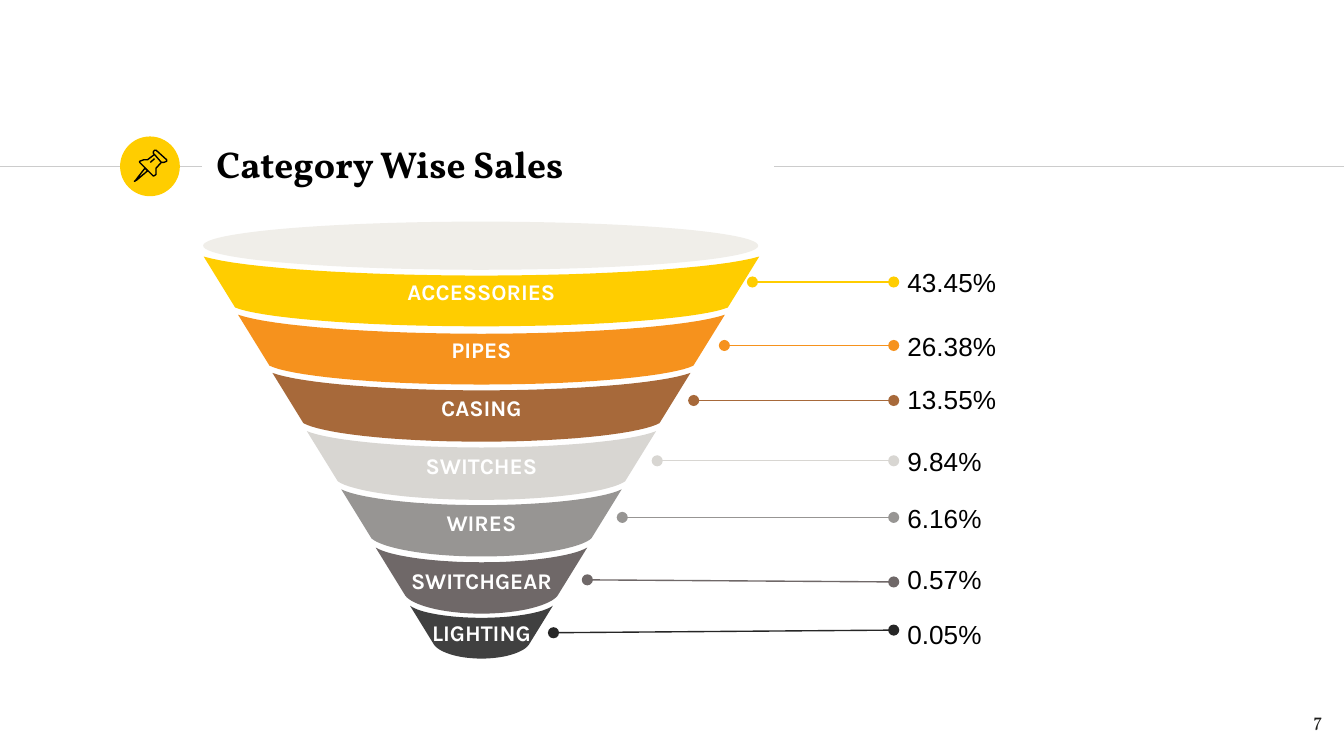
from dataclasses import dataclass

from lxml import etree
from pptx import Presentation
from pptx.dml.color import RGBColor
from pptx.enum.shapes import MSO_CONNECTOR, MSO_SHAPE
from pptx.enum.text import MSO_ANCHOR, PP_ALIGN
from pptx.oxml.ns import qn
from pptx.util import Cm, Pt

STRAIGHT = MSO_CONNECTOR.STRAIGHT
OVAL = MSO_SHAPE.OVAL
MIDDLE, TOP = MSO_ANCHOR.MIDDLE, MSO_ANCHOR.TOP
LEFT, CENTER, RIGHT = PP_ALIGN.LEFT, PP_ALIGN.CENTER, PP_ALIGN.RIGHT

BLACK = RGBColor(0x00, 0x00, 0x00)
WHITE = RGBColor(0xFF, 0xFF, 0xFF)
INK = RGBColor(0x1D, 0x1D, 0x1B)
RULE = RGBColor(0xCC, 0xCC, 0xCC)
RIM = RGBColor(0xF0, 0xEE, 0xE9)
YELLOW = RGBColor(0xFF, 0xCD, 0x00)
ORANGE = RGBColor(0xF6, 0x92, 0x1D)
BROWN = RGBColor(0xA7, 0x69, 0x3A)
PALE = RGBColor(0xD8, 0xD6, 0xD2)
GREY = RGBColor(0x97, 0x95, 0x93)
TAUPE = RGBColor(0x6F, 0x68, 0x68)
CHARCOAL = RGBColor(0x40, 0x40, 0x40)
NEAR_BLACK = RGBColor(0x26, 0x26, 0x26)

Point = tuple[float, float]

FUNNEL_X, FUNNEL_TOP, FUNNEL_HALF = 9.1, 4.85, 5.25
BAND_PITCH, BAND_TAPER = 1.1, 0.65
LEADER_END, LABEL_X = 16.89, 17.15
LABEL_W, LABEL_H = 7.04, 0.86
RULE_Y = 3.15
CURVE_STEPS = 16


@dataclass
class Band:
    name: str
    value: str
    fill: RGBColor
    leader: RGBColor
    depth: float
    sag: float
    start: Point
    end_y: float
    label_y: float


BANDS = [
    Band("ACCESSORIES", "43.45%", YELLOW, YELLOW, 1.32, 0.36, (14.22, 5.33), 5.33, 5.33),
    Band("PIPES", "26.38%", ORANGE, ORANGE, 1.32, 0.36, (13.69, 6.53), 6.53, 6.55),
    Band("CASING", "13.55%", BROWN, BROWN, 1.3, 0.33, (13.11, 7.57), 7.57, 7.54),
    Band("SWITCHES", "9.84%", PALE, PALE, 1.3, 0.31, (12.42, 8.71), 8.71, 8.71),
    Band("WIRES", "6.16%", GREY, GREY, 1.27, 0.3, (11.76, 9.78), 9.78, 9.8),
    Band("SWITCHGEAR", "0.57%", TAUPE, TAUPE, 1.25, 0.28, (11.1, 10.96), 11, 10.95),
    Band("LIGHTING", "0.05%", CHARCOAL, NEAR_BLACK, 1, 0.23, (10.46, 11.96), 11.91, 11.99),
]

PIN_NEEDLE = [(2.74, 3.18), (2.57, 3.4), (2.54, 3.43), (2.59, 3.4), (2.79, 3.23)]
PIN_HEAD = [(2.92, 2.92), (3.05, 3.07), (3.1, 3.07), (3.15, 3.05), (3.15, 3.02),
            (2.95, 2.84), (2.92, 2.84), (2.9, 2.87), (2.9, 2.9)]
PIN_BODY = [(2.92, 2.92), (2.79, 3.02), (2.72, 3.02), (2.64, 3.05), (2.64, 3.07),
            (2.9, 3.33), (2.95, 3.3), (2.95, 3.18), (3.05, 3.07)]


def write(sp, text: str, font: str, size: float, color: RGBColor, align=LEFT,
          anchor=MIDDLE, bold: bool = False, insets: Point = (0, 0)) -> None:
    tf = sp.text_frame
    tf.word_wrap = True
    tf.vertical_anchor = anchor
    tf.margin_left = tf.margin_right = Cm(insets[0])
    tf.margin_top = tf.margin_bottom = Cm(insets[1])
    tf.text = text
    p = tf.paragraphs[0]
    p.alignment = align
    f = p.runs[0].font
    f.name, f.size, f.bold = font, Pt(size), bold
    f.color.rgb = color


def add_line(s, start: Point, end: Point, color: RGBColor, dots: bool = False) -> None:
    cx = s.shapes.add_connector(STRAIGHT, *map(Cm, start + end))
    cx.line.color.rgb = color
    cx.line.width = Pt(0.75)
    sp_pr = cx._element.spPr
    etree.SubElement(sp_pr, qn("a:effectLst"))
    if dots:
        ln = sp_pr.find(qn("a:ln"))
        for tag in ("a:headEnd", "a:tailEnd"):
            etree.SubElement(ln, qn(tag), type="oval")


def add_ellipse(s, x: float, y: float, w: float, h: float, fill: RGBColor) -> None:
    sp = s.shapes.add_shape(OVAL, Cm(x), Cm(y), Cm(w), Cm(h))
    sp.shadow.inherit = False
    sp.fill.solid()
    sp.fill.fore_color.rgb = fill
    sp.line.fill.background()


def add_outline(s, points: list[Point], close: bool = True):
    pts = [(Cm(x), Cm(y)) for x, y in points]
    builder = s.shapes.build_freeform(*pts[0])
    builder.add_line_segments(pts[1:], close=close)
    sp = builder.convert_to_shape()
    sp.shadow.inherit = False
    return sp


def add_pin_part(s, points: list[Point], close: bool) -> None:
    sp = add_outline(s, points, close)
    sp.fill.background()
    sp.line.color.rgb = BLACK
    sp.line.width = Pt(0.75)


def half_curve(half: float, y: float, sag: float, shape: tuple[float, float, float]) -> list[Point]:
    near, drop, far = shape
    ctrl = [(half, y), (half * (1 - near), y + sag * drop), (half * far, y + sag), (0, y + sag)]
    pts = []
    for i in range(CURVE_STEPS + 1):
        t = i / CURVE_STEPS
        weights = ((1 - t) ** 3, 3 * t * (1 - t) ** 2, 3 * t ** 2 * (1 - t), t ** 3)
        pts.append((sum(w * c[0] for w, c in zip(weights, ctrl)),
                    sum(w * c[1] for w, c in zip(weights, ctrl))))
    return pts


def add_band(s, band: Band, index: int) -> None:
    top = FUNNEL_TOP + BAND_PITCH * index
    half = FUNNEL_HALF - BAND_TAPER * index
    shoulder = 0.73 * band.depth
    upper = half_curve(half, top, band.sag, (0.14, 0.62, 0.42))
    lower = half_curve(half - 0.45 * band.depth, top + shoulder,
                       band.depth - shoulder, (0.09, 0.5, 0.53))
    right = upper[::-1] + lower
    left = [(-x, y) for x, y in right[-2:0:-1]]
    sp = add_outline(s, [(FUNNEL_X + x, y) for x, y in right + left])
    sp.fill.solid()
    sp.fill.fore_color.rgb = band.fill
    sp.line.fill.background()
    write(sp, band.name, "Karla", 12, WHITE, CENTER, bold=True, insets=(0.18, 0.1))


def add_callout(s, band: Band) -> None:
    add_line(s, band.start, (LEADER_END, band.end_y), band.leader, dots=True)
    tb = s.shapes.add_textbox(Cm(LABEL_X), Cm(band.label_y - LABEL_H / 2), Cm(LABEL_W), Cm(LABEL_H))
    write(tb, band.value, "Arial", 14, BLACK)


def main() -> None:
    prs = Presentation()
    prs.slide_width, prs.slide_height = Cm(25.4), Cm(14.29)
    s = prs.slides.add_slide(prs.slide_layouts[5])

    add_line(s, (0, RULE_Y), (3.81, RULE_Y), RULE)
    add_line(s, (14.63, RULE_Y), (25.4, RULE_Y), RULE)
    add_ellipse(s, 2.27, 2.58, 1.13, 1.13, YELLOW)
    for points, close in ((PIN_NEEDLE, True), (PIN_HEAD, True), (PIN_BODY, False)):
        add_pin_part(s, points, close)
    add_line(s, (2.84, 3.07), (2.92, 3), BLACK)

    title = s.shapes.title
    title.left, title.top, title.width, title.height = Cm(3.84), Cm(2.49), Cm(10.77), Cm(1.22)
    write(title, "Category Wise Sales", "Vollkorn", 20, BLACK, bold=True, insets=(0.25, 0.25))

    for i, band in enumerate(BANDS):
        add_band(s, band, i)
        add_callout(s, band)
    add_ellipse(s, 3.84, 4.19, 10.49, 0.91, RIM)

    number = s.shapes.add_textbox(Cm(23.72), Cm(13.18), Cm(1.52), Cm(1.09))
    write(number, "7", "Vollkorn", 10, INK, RIGHT, TOP, insets=(0.25, 0.25))

    prs.save("out.pptx")


if __name__ == "__main__":
    main()
